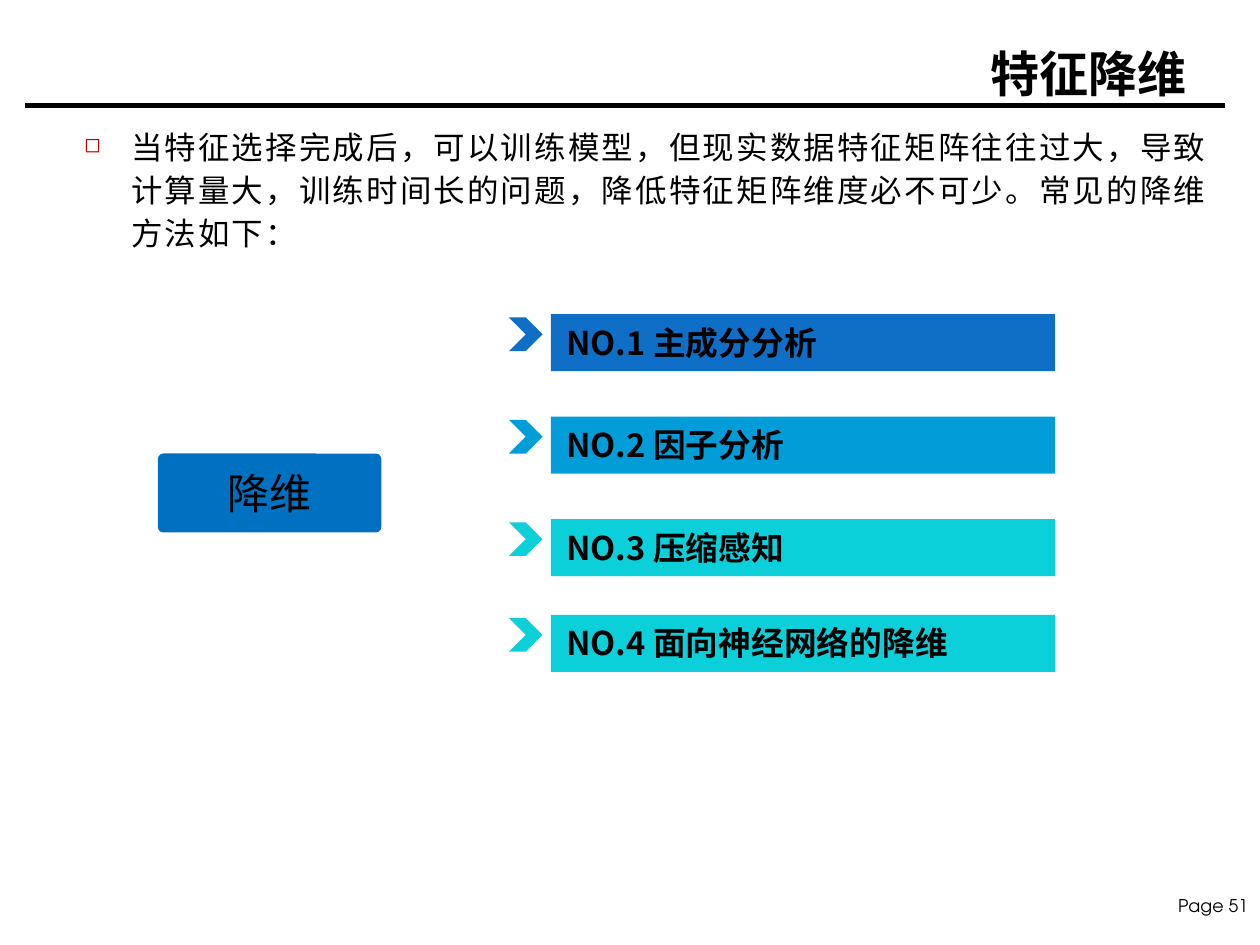
from lxml.etree import SubElement
from pptx import Presentation
from pptx.dml.color import RGBColor
from pptx.enum.shapes import MSO_CONNECTOR as Connector, MSO_SHAPE as Shape
from pptx.enum.text import MSO_ANCHOR as Anchor, PP_ALIGN as Align
from pptx.oxml.ns import qn
from pptx.util import Inches, Pt

CHINESE_FONT = "Noto Sans CJK SC"
PAGE_FONT = "TeX Gyre Adventor"
METHODS = [
    (1.87, "0F6FC6", "NO.1 主成分分析"),
    (2.48, "009DD9", "NO.2 因子分析"),
    (3.09, "0BD0D9", "NO.3 压缩感知"),
    (3.66, "0BD0D9", "NO.4 面向神经网络的降维"),
]
INTRODUCTION = (
    "当特征选择完成后，可以训练模型，但现实数据特征矩阵往往过大，导致计算量大，"
    "训练时间长的问题，降低特征矩阵维度必不可少。常见的降维方法如下："
)


def color(value):
    """Turn a hex string into a colour."""
    return RGBColor.from_string(value)


def write_text(shape, text, size, align=Align.LEFT, bold=False,
               font_name=CHINESE_FONT, anchor=Anchor.TOP, insets=(0, 0)):
    """Fill a shape with one formatted paragraph and return the paragraph."""
    frame = shape.text_frame
    frame.word_wrap = True
    frame.vertical_anchor = anchor
    frame.margin_left = frame.margin_right = Inches(insets[0])
    frame.margin_top = frame.margin_bottom = Inches(insets[1])
    paragraph = frame.paragraphs[0]
    paragraph.text = text
    paragraph.alignment = align
    font = paragraph.font
    font.size, font.bold, font.name = Pt(size), bold, font_name
    font.color.rgb = color("000000")
    properties = paragraph._p.pPr.find(qn("a:defRPr"))
    SubElement(properties, qn("a:ea"), typeface=font_name)
    return paragraph


def add_block(slide, kind, box, fill):
    """Add a flat filled shape without an outline."""
    shape = slide.shapes.add_shape(kind, *map(Inches, box))
    shape.shadow.inherit = False
    shape.fill.solid()
    shape.fill.fore_color.rgb = color(fill)
    shape.line.fill.background()
    return shape


def add_header(slide, left, top, width, height):
    """Place the title at the right, above a full-width rule."""
    title = slide.shapes.title
    title.left, title.top = Inches(left + 2.31), Inches(top)
    title.width, title.height = Inches(width - 2.44), Inches(height - 0.03)
    write_text(title, "特征降维", 21, Align.RIGHT, True, insets=(0.1, 0.05))
    rule_top = Inches(top + height)
    rule = slide.shapes.add_connector(
        Connector.STRAIGHT, Inches(left), rule_top, Inches(left + width), rule_top)
    rule.line.color.rgb = color("000000")
    rule.line.width = Pt(2)
    SubElement(rule._element.spPr, qn("a:effectLst"))


def add_introduction(slide, *box):
    """Place the bulleted introduction."""
    text_box = slide.shapes.add_textbox(*map(Inches, box))
    paragraph = write_text(text_box, INTRODUCTION, 13.5)
    paragraph.line_spacing = Pt(18.4)
    properties = paragraph._p.pPr
    properties.set("marL", str(Inches(0.28)))
    properties.set("indent", str(-Inches(0.28)))
    character_properties = properties.find(qn("a:defRPr"))
    character_properties.set("spc", "100")
    bullet_color = SubElement(properties, qn("a:buClr"))
    SubElement(bullet_color, qn("a:srgbClr"), val="C00000")
    SubElement(properties, qn("a:buSzPct"), val="65000")
    SubElement(properties, qn("a:buChar"), char="◻")
    properties.append(character_properties)


def add_topic(slide, *box):
    """Place the rounded topic box."""
    topic = add_block(slide, Shape.ROUNDED_RECTANGLE, box, "0070C0")
    topic.adjustments[0] = 0.07
    write_text(topic, "降维", 18, Align.CENTER, anchor=Anchor.MIDDLE,
               insets=(0.06, 0.03))


def add_method(slide, left, top, width, height, fill, text):
    """Place one method: a chevron followed by a labelled bar."""
    add_block(slide, Shape.CHEVRON, (left, top + 0.02, 0.2, 0.2), fill)
    bar = add_block(slide, Shape.RECTANGLE,
                    (left + 0.25, top, width - 0.25, height), fill)
    write_text(bar, text, 14, bold=True, insets=(0.09, 0.05))


def add_page_number(slide, *box):
    """Place the page label in the bottom corner."""
    text_box = slide.shapes.add_textbox(*map(Inches, box))
    write_text(text_box, "Page 51", 7.5, Align.RIGHT, font_name=PAGE_FONT,
               insets=(0.07, 0.04))


def main():
    """Build and save the slide."""
    presentation = Presentation()
    presentation.slide_width = Inches(7.5)
    presentation.slide_height = Inches(7.5 * 3 / 4)
    slide = presentation.slides.add_slide(presentation.slide_layouts.get_by_name("Title Only"))
    add_page_number(slide, 6.86, 5.29, 0.64, 0.2)
    add_header(slide, 0.15, 0.21, 7.14, 0.42)
    add_introduction(slide, 0.5, 0.73, 6.72, 0.85)
    add_topic(slide, 0.94, 2.7, 1.33, 0.47)
    for top, fill, text in METHODS:
        add_method(slide, 3.03, top, 3.25, 0.34, fill, text)
    presentation.save("out.pptx")


if __name__ == "__main__":
    main()
